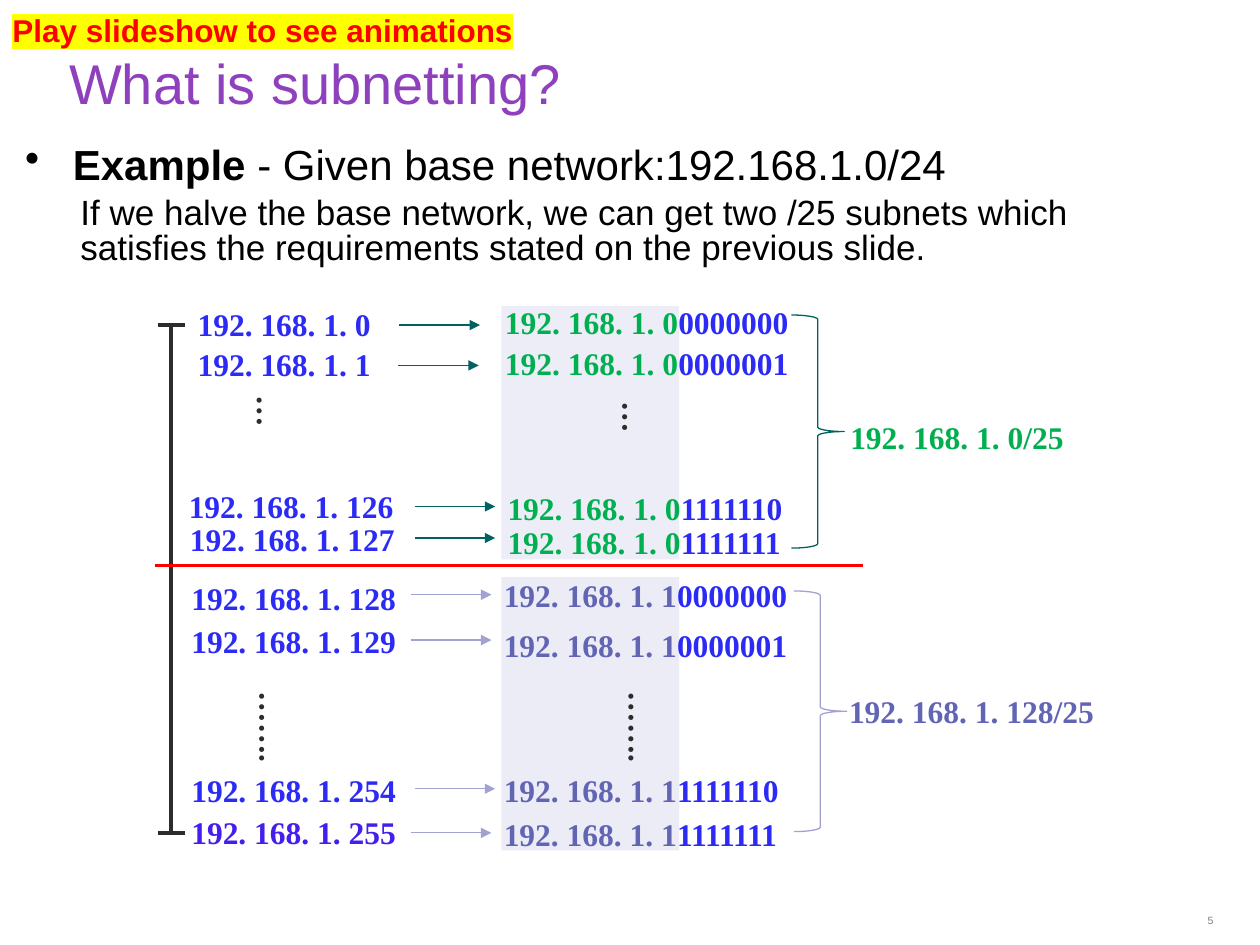
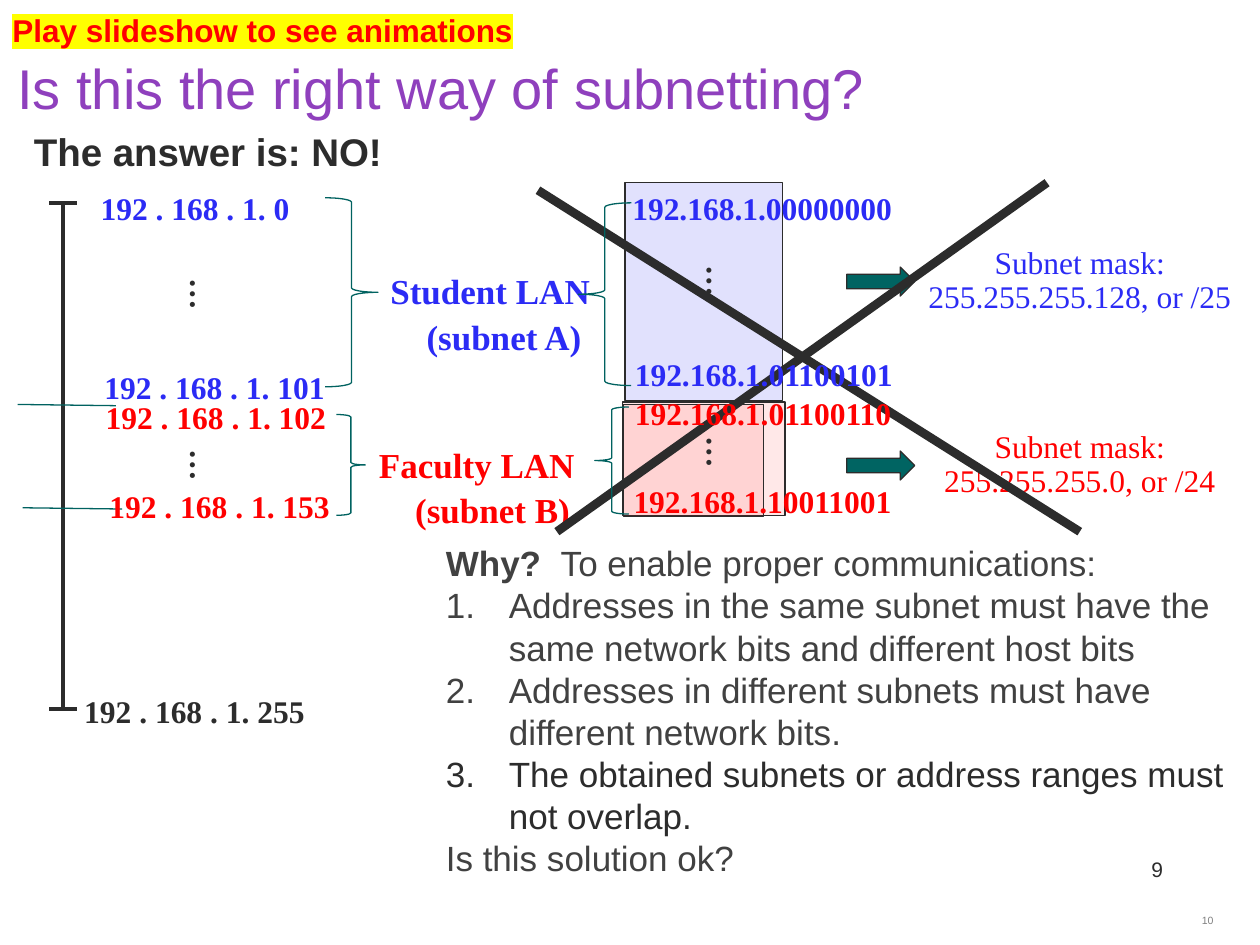
from pptx import Presentation
from pptx.dml.color import RGBColor
from pptx.enum.shapes import MSO_CONNECTOR, MSO_SHAPE
from pptx.enum.text import MSO_ANCHOR, PP_ALIGN
from pptx.oxml.ns import qn
from pptx.util import Emu, Pt
from lxml.etree import SubElement

SCALE = 9144
SANS, SERIF = "Arial", "Times New Roman"
INK, GRAY, BLACK = "2C2C2C", "414141", "000000"
BLUE, RED, GREEN, SLATE = "2B2BF5", "FF0000", "00B050", "6264B4"
TEAL, LILAC, PURPLE = "006260", "A1A2D2", "8F40BD"


def px(n):
    """Turn px (100 to the inch) into EMU."""
    return Emu(n * SCALE)


def rgb(code):
    """Turn a hex string into a colour."""
    return RGBColor.from_string(code)


def style(run, size, color, font=SERIF, bold=True):
    """Format one run."""
    run.font.size = Pt(size)
    run.font.bold = bold
    run.font.name = font
    run.font.color.rgb = rgb(color)


def frame(slide, left, top, width, height, anchor=MSO_ANCHOR.TOP):
    """Add a wrapping text box and return it."""
    box = slide.shapes.add_textbox(px(left), px(top), px(width), px(height))
    box.text_frame.word_wrap = True
    box.text_frame.vertical_anchor = anchor
    return box


def label(slide, text, left, top, width, color, size=18, font=SERIF, bold=True,
          align=PP_ALIGN.LEFT, height=40, gap=None, anchor=MSO_ANCHOR.TOP):
    """Add a box of text in one format."""
    box = frame(slide, left, top, width, height, anchor)
    box.text_frame.text = text
    for para in box.text_frame.paragraphs:
        para.alignment = align
        para.line_spacing = gap
        for run in para.runs:
            style(run, size, color, font, bold)
    return box


def mixed(para, parts, size, font=SERIF):
    """Fill a paragraph with (text, colour, bold) runs."""
    for text, color, bold in parts:
        run = para.add_run()
        run.text = text
        style(run, size, color, font, bold)


def bullet(para, hang, tag, **attrs):
    """Give a paragraph a hanging bullet or number."""
    props = para._p.get_or_add_pPr()
    props.set("marL", str(px(hang)))
    props.set("indent", str(-px(hang)))
    SubElement(props, qn(tag), **attrs)


def rule(slide, x1, y1, x2, y2, color=TEAL, width=0.75, head=False):
    """Draw a straight line, with an arrowhead if asked."""
    line = slide.shapes.add_connector(
        MSO_CONNECTOR.STRAIGHT, px(x1), px(y1), px(x2), px(y2))
    line.line.color.rgb = rgb(color)
    line.line.width = Pt(width)
    if head:
        SubElement(line.line._get_or_add_ln(), qn("a:tailEnd"), type="triangle")
    SubElement(line._element.spPr, qn("a:effectLst"))


def shape(slide, kind, left, top, width, height, fill=None, alpha=100, edge=None):
    """Add a preset shape with plain fill and thin edge."""
    item = slide.shapes.add_shape(kind, px(left), px(top), px(width), px(height))
    item.shadow.inherit = False
    if fill:
        item.fill.solid()
        item.fill.fore_color.rgb = rgb(fill)
        tone = item.fill._xPr.find(qn("a:solidFill"))[0]
        SubElement(tone, qn("a:alpha"), val=str(alpha * 1000))
    else:
        item.fill.background()
    if edge:
        item.line.color.rgb = rgb(edge)
        item.line.width = Pt(0.75)
    else:
        item.line.fill.background()
    return item


def brace(slide, left, top, width, height, color=TEAL, turn=0):
    """Add a curly brace."""
    item = shape(slide, MSO_SHAPE.RIGHT_BRACE, left, top, width, height, edge=color)
    item.rotation = turn


def dots(slide, left, top, text="…"):
    """Add a vertical ellipsis."""
    label(slide, text, left, top, 84, INK).rotation = 90


def axis(slide, x, top, base):
    """Draw the address range bar with its end ticks."""
    rule(slide, x, top, x, base, INK, 2.25)
    for y in (top, base):
        rule(slide, x - 11, y, x + 11, y, INK, 2.25)


def start(deck, title, left, top, number):
    """Add a slide with title, banner and page number."""
    slide = deck.slides.add_slide(deck.slide_layouts[6])
    label(slide, title, left, top, 940, PURPLE, 32, SANS, False,
          height=108, gap=0.8, anchor=MSO_ANCHOR.MIDDLE)
    page = label(slide, number, 923, 720, 50, "808080", 6, SANS, False,
                 PP_ALIGN.RIGHT, 19, anchor=MSO_ANCHOR.BOTTOM)
    page.text_frame.margin_top = page.text_frame.margin_bottom = px(4)
    note = label(slide, "Play slideshow to see animations", 0, 4, 630, RED, 18, SANS)
    props = note.text_frame.paragraphs[0].runs[0].font._element
    mark = SubElement(props, qn("a:highlight"))
    SubElement(mark, qn("a:srgbClr"), val="FFFF00")
    props.find(qn("a:solidFill")).addnext(mark)
    return slide


def halves(deck):
    """Build the slide that halves the base network."""
    slide = start(deck, "What is subnetting?", 45, 16, "5")
    text = frame(slide, 10, 117, 945, 50).text_frame
    first, second = text.paragraphs[0], text.add_paragraph()
    bullet(first, 38, "a:buChar", char="•")
    mixed(first, [("Example", BLACK, True),
                  (" - Given base network:192.168.1.0/24", BLACK, False)], 24, SANS)
    second._p.get_or_add_pPr().set("marL", str(px(44)))
    second.space_before = Pt(5)
    mixed(second, [("If we halve the base network, we can get two /25 subnets which "
                    "satisfies the requirements stated on the previous slide.",
                    BLACK, False)], 20, SANS)
    for para in text.paragraphs:
        para.line_spacing = Pt(20)

    shape(slide, MSO_SHAPE.RECTANGLE, 398, 243, 141, 201, "E2E2F4", 60)
    shape(slide, MSO_SHAPE.RECTANGLE, 398, 458, 141, 217, "E0E0F0", 60)
    axis(slide, 136, 258, 661)
    rule(slide, 123, 449, 685, 449, RED, 1.5)

    rows = [
        (0, 147, 237, 391, 236, 317, 258), (1, 147, 269, 391, 268, 316, 290),
        (126, 140, 382, 393, 383, 329, 402), (127, 141, 408, 393, 410, 329, 427),
        (128, 142, 455, 390, 452, 326, 472), (129, 142, 489, 390, 492, 326, 508),
        (254, 142, 607, 390, 607, 329, 626), (255, 142, 640, 390, 642, 326, 661)]
    for host, left, top, right, high, x, y in rows:
        upper = host < 128
        label(slide, f"192. 168. 1. {host}", left, top, 210,
              "451DED" if host == 255 else BLUE)
        rule(slide, x, y, x + 64, y, TEAL if upper else LILAC, head=True)
        bits = f"{host:08b}"
        para = frame(slide, right, high, 274, 40).text_frame.paragraphs[0]
        mixed(para, [(f"192. 168. 1. {bits[0]}", GREEN if upper else SLATE, True),
                     (bits[1:], BLUE, True)], 18)

    dots(slide, 172, 326)
    dots(slide, 462, 331)
    dots(slide, 174, 561, "…….")
    dots(slide, 467, 561, "…….")
    brace(slide, 628, 250, 42, 185)
    brace(slide, 630, 469, 42, 191, LILAC)
    label(slide, "192. 168. 1. 0/25", 665, 327, 274, GREEN)
    label(slide, "192. 168. 1. 128/25", 664, 544, 274, SLATE)


def lan(slide, text, left, top, color):
    """Name a LAN and its subnet on two lines."""
    box = label(slide, text, left, top, 200, color, 20, height=77)
    under = box.text_frame.paragraphs[1]
    under.alignment = PP_ALIGN.CENTER
    under.space_before = Pt(2)


def reasons(slide):
    """Explain why the split is wrong."""
    text = frame(slide, 344, 451, 660, 225, MSO_ANCHOR.MIDDLE).text_frame
    mixed(text.paragraphs[0], [("Why?  ", GRAY, True),
                               ("To enable proper communications:", GRAY, False)], 20, SANS)
    points = [
        ("Addresses in the same subnet must have the same network bits "
         "and different host bits", GRAY),
        ("Addresses in different subnets must have different network bits.", GRAY),
        ("The obtained subnets or address ranges must not overlap.", INK)]
    for point, color in points:
        para = text.add_paragraph()
        bullet(para, 50, "a:buAutoNum", type="arabicPeriod")
        mixed(para, [(point, color, False)], 20, SANS)
    mixed(text.add_paragraph(), [("Is this solution ok?", GRAY, False)], 20, SANS)


def wrong(deck):
    """Build the slide that rejects the uneven split."""
    slide = start(deck, "Is this the right way of subnetting?", 4, 20, "10")
    label(slide, "The answer is: NO!", 4, 101, 322, INK, 22, SANS,
          align=PP_ALIGN.CENTER, gap=0.9)
    axis(slide, 50, 161, 563)
    rule(slide, 14, 321, 92, 322)
    rule(slide, 18, 403, 97, 404)
    for host, left, top, color in [
            (0, 70, 145, BLUE), (101, 73, 287, BLUE), (102, 74, 311, RED),
            (153, 77, 382, RED), (255, 57, 544, INK)]:
        label(slide, f"192 . 168 . 1. {host}", left, top, 219, color)
    brace(slide, 258, 157, 42, 150)
    brace(slide, 267, 329, 23, 80)
    lan(slide, "Student LAN\n(subnet A)", 300, 209, BLUE)
    lan(slide, "Faculty LAN\n(subnet B)", 291, 347, RED)
    reasons(slide)

    for left, top, width, height, fill, alpha in [
            (496, 145, 125, 173, BLUE, 14), (494, 319, 129, 90, RED, 9),
            (495, 321, 111, 89, RED, 9)]:
        shape(slide, MSO_SHAPE.RECTANGLE, left, top, width, height, fill, alpha, INK)
    for mask, top, color in [("128, or /25", 191, BLUE), ("0, or /24", 337, RED)]:
        label(slide, f"Subnet mask: 255.255.255.{mask}", 715, top, 284, color,
              bold=False, align=PP_ALIGN.CENTER, height=65, gap=0.9)
        shape(slide, MSO_SHAPE.RIGHT_ARROW, 672, top + 21, 54, 23, "006462", edge=INK)
    rule(slide, 831, 145, 442, 422, INK, 5)
    rule(slide, 857, 422, 427, 151, INK, 5)
    label(slide, "9", 857, 677, 123, INK, 12, SANS, False, PP_ALIGN.CENTER, 28, 0.9)

    for host, left, top, color in [
            (0, 492, 145, BLUE), (101, 494, 277, BLUE),
            (102, 494, 308, RED), (153, 493, 378, RED)]:
        label(slide, f"192.168.1.{host:08b}", left, top, 240, color)
    brace(slide, 459, 161, 42, 145, turn=180)
    brace(slide, 472, 323, 27, 85, turn=180)
    for left, top in [(119, 233), (119, 369), (529, 223), (529, 359)]:
        dots(slide, left, top)


def main():
    """Build the deck and save it."""
    deck = Presentation()
    deck.slide_width, deck.slide_height = px(1000), px(750)
    halves(deck)
    wrong(deck)
    deck.save("out.pptx")


if __name__ == "__main__":
    main()
